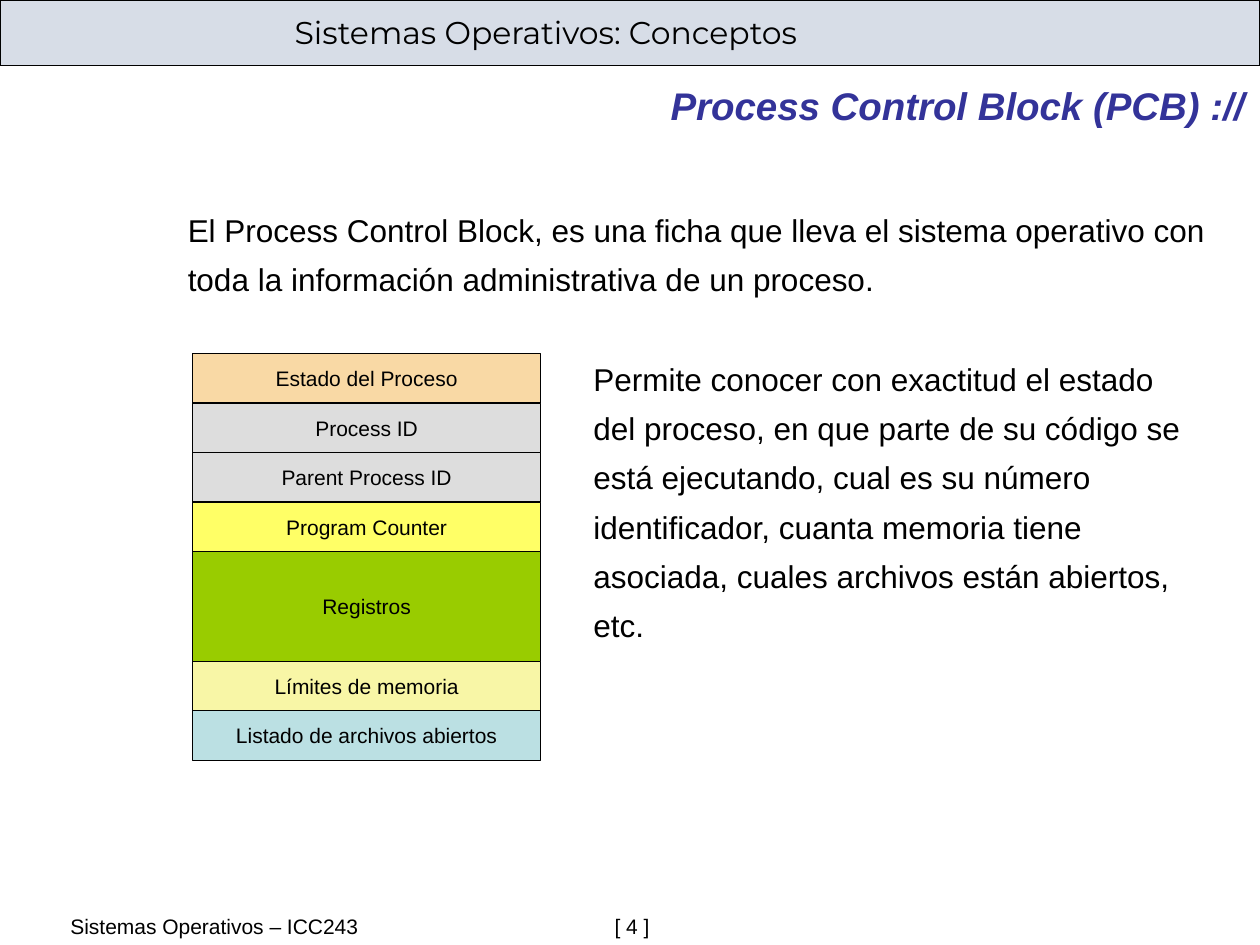
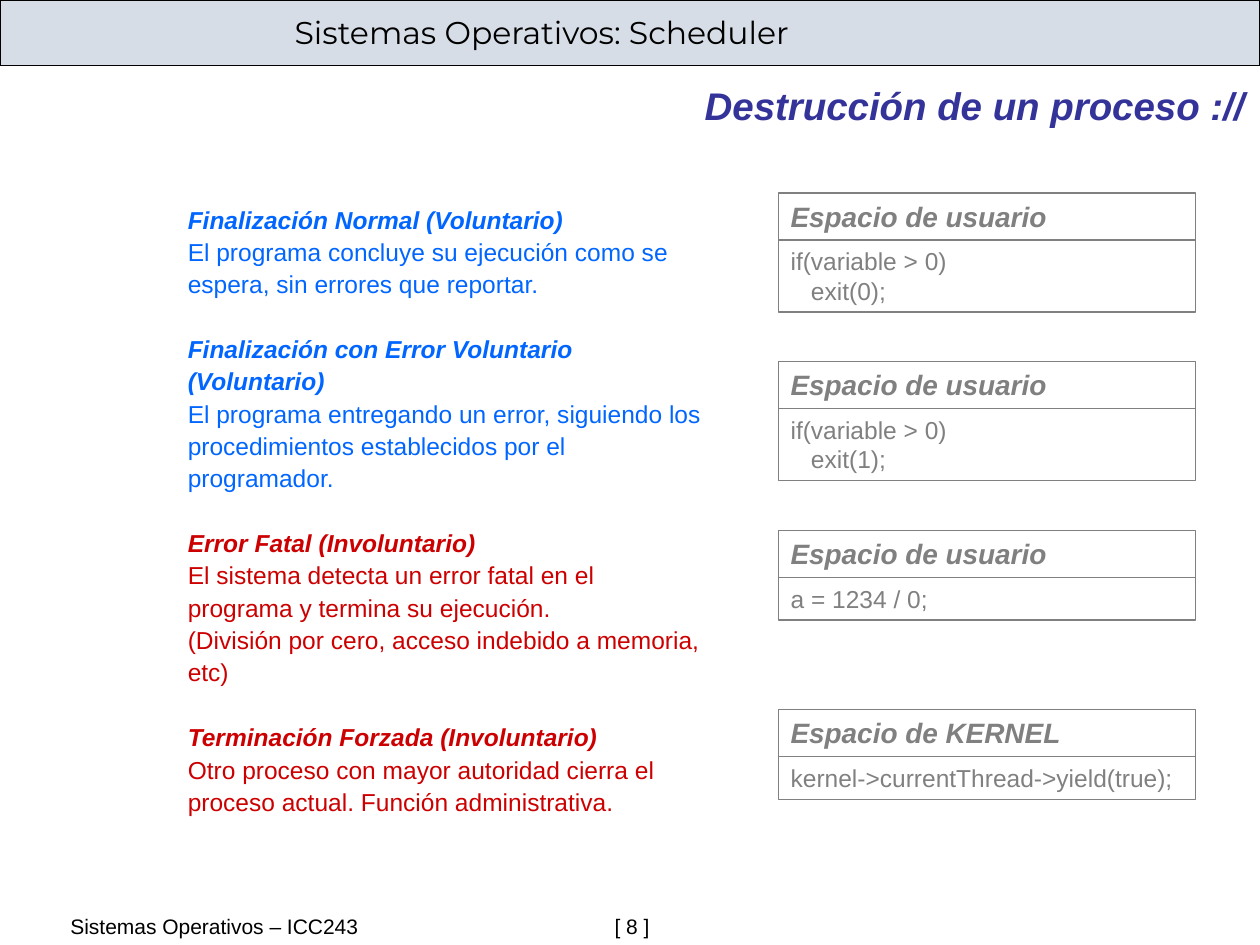
"""Build two operating-systems slides: the process control block and process termination."""
from lxml import etree
from pptx import Presentation
from pptx.dml.color import RGBColor
from pptx.enum.shapes import MSO_SHAPE
from pptx.enum.text import MSO_ANCHOR, MSO_AUTO_SIZE, PP_ALIGN
from pptx.oxml.ns import qn
from pptx.util import Pt

RECT = MSO_SHAPE.RECTANGLE
TOP, MIDDLE = MSO_ANCHOR.TOP, MSO_ANCHOR.MIDDLE
LEFT, CENTER, RIGHT = PP_ALIGN.LEFT, PP_ALIGN.CENTER, PP_ALIGN.RIGHT
NO_FIT = MSO_AUTO_SIZE.NONE

BLACK = RGBColor(0x00, 0x00, 0x00)
BAND = RGBColor(0xD7, 0xDD, 0xE7)
NAVY = RGBColor(0x33, 0x33, 0x99)
BLUE = RGBColor(0x00, 0x66, 0xFF)
RED = RGBColor(0xCC, 0x00, 0x00)
GRAY = RGBColor(0x80, 0x80, 0x80)
SILVER = RGBColor(0xDD, 0xDD, 0xDD)
PEACH = RGBColor(0xF9, 0xD9, 0xA5)
YELLOW = RGBColor(0xFF, 0xFF, 0x66)
GREEN = RGBColor(0x99, 0xCC, 0x00)
CREAM = RGBColor(0xF8, 0xF6, 0xA6)
AQUA = RGBColor(0xBB, 0xE0, 0xE3)

SLIDE_W, SLIDE_H = 720, 540
COURSE = "Sistemas Operativos – ICC243"

PCB_INTRO = ("El Process Control Block, es una ficha que lleva el sistema operativo "
             "con toda la información administrativa de un proceso.")
PCB_USE = ("Permite conocer con exactitud el estado del proceso, en que parte de su código "
           "se está ejecutando, cual es su número identificador, cuanta memoria tiene "
           "asociada, cuales archivos están abiertos, etc.")
ROW_H, REGISTERS_H = 28.3, 62.6
PCB_FIELDS = [
    ("Estado del Proceso", PEACH, ROW_H),
    ("Process ID", SILVER, ROW_H),
    ("Parent Process ID", SILVER, ROW_H),
    ("Program Counter", YELLOW, ROW_H),
    ("Registros", GREEN, REGISTERS_H),
    ("Límites de memoria", CREAM, ROW_H),
    ("Listado de archivos abiertos", AQUA, ROW_H),
]

ENDINGS = [
    ("Finalización Normal (Voluntario)", BLUE,
     ["El programa concluye su ejecución como se espera, sin errores que reportar."]),
    ("Finalización con Error Voluntario (Voluntario)", BLUE,
     ["El programa entregando un error, siguiendo los procedimientos establecidos "
      "por el programador."]),
    ("Error Fatal (Involuntario)", RED,
     ["El sistema detecta un error fatal en el programa y termina su ejecución.",
      "(División por cero, acceso indebido a memoria, etc)"]),
    ("Terminación Forzada (Involuntario)", RED,
     ["Otro proceso con mayor autoridad cierra el proceso actual. Función administrativa."]),
]
EXAMPLES = [
    (110.2, "Espacio de usuario", ["if(variable > 0)", "   exit(0);"]),
    (206.6, "Espacio de usuario", ["if(variable > 0)", "   exit(1);"]),
    (303.1, "Espacio de usuario", ["a = 1234 / 0;"]),
    (405.4, "Espacio de KERNEL", ["kernel->currentThread->yield(true);"]),
]


def place(sp, x, y, w, h):
    sp.left, sp.top, sp.width, sp.height = Pt(x), Pt(y), Pt(w), Pt(h)


def style(p, size, color=BLACK, font="Arial", strong=False, align=LEFT):
    p.alignment = align
    for r in p.runs:
        r.font.name, r.font.size = font, Pt(size)
        r.font.bold = r.font.italic = strong
        r.font.color.rgb = color


def write(sp, lines, size, anchor=TOP, **look):
    tf = sp.text_frame
    tf.text = "\n".join(lines)
    tf.word_wrap, tf.auto_size, tf.vertical_anchor = True, NO_FIT, anchor
    for p in tf.paragraphs:
        style(p, size, **look)
    return tf


def plain_list(tf, spacing):
    for p in tf.paragraphs:
        pPr = p._p.get_or_add_pPr()
        pPr.set("marL", "0")
        pPr.set("indent", "0")
        etree.SubElement(pPr, qn("a:buNone"))
        p.line_spacing, p.space_before = spacing, Pt(0)


def add_box(s, x, y, w, h, line=BLACK, fill=None):
    sp = s.shapes.add_shape(RECT, Pt(x), Pt(y), Pt(w), Pt(h))
    sp.shadow.inherit = False
    sp.line.color.rgb, sp.line.width = line, Pt(0.75)
    if fill is None:
        sp.fill.background()
    else:
        sp.fill.solid()
        sp.fill.fore_color.rgb = fill
    return sp


def add_text(s, x, y, w, h, text, size, **look):
    sp = s.shapes.add_textbox(Pt(x), Pt(y), Pt(w), Pt(h))
    return write(sp, [text], size, **look)


def add_slide(prs, layout, topic, title, number):
    s = prs.slides.add_slide(prs.slide_layouts[layout])
    add_box(s, 0, 0, SLIDE_W, 37.5, fill=BAND)
    add_text(s, 161.3, 3.6, 556, 29, topic, 18, font="Montserrat")
    place(s.shapes.title, 139, 43.2, 579.6, 34)
    write(s.shapes.title, [title], 22, color=NAVY, strong=True, align=RIGHT)
    tf = add_text(s, 33.1, 518.4, 660, 21.6, f"{COURSE}\t[ {number} ]", 12)
    tabs = etree.SubElement(tf.paragraphs[0]._p.get_or_add_pPr(), qn("a:tabLst"))
    etree.SubElement(tabs, qn("a:tab"), pos=str(Pt(311)), algn="l")
    return s


def pcb_slide(prs):
    s = add_slide(prs, 3, "Sistemas Operativos: Conceptos", "Process Control Block (PCB) ://", 4)
    boxes = [(PCB_INTRO, (100.1, 110.4, 620, 64)), (PCB_USE, (331.9, 195.8, 360, 209))]
    for sp, (text, area) in zip(list(s.placeholders)[1:], boxes):
        place(sp, *area)
        plain_list(write(sp, [text], 18), 1.3)
    y = 202.1
    for name, fill, h in PCB_FIELDS:
        sp = add_box(s, 110.2, y, 198.7, h, fill=fill)
        write(sp, [name], 12, anchor=MIDDLE, align=CENTER)
        y += h


def endings_slide(prs):
    s = add_slide(prs, 1, "Sistemas Operativos: Scheduler", "Destrucción de un proceso ://", 8)
    body = s.placeholders[1]
    place(body, 100.1, 111.6, 310.3, 375)
    lines = [(text, color, i == 0)
             for heading, color, details in ENDINGS
             for i, text in enumerate([heading] + details)]
    tf = write(body, [text for text, _, _ in lines], 14)
    plain_list(tf, 1.1)
    for i, (p, (_, color, heading)) in enumerate(zip(tf.paragraphs, lines)):
        style(p, 14, color, strong=heading)
        if heading and i:
            p.space_before = Pt(18.5)
    for y, space, code in EXAMPLES:
        write(add_box(s, 444.7, y, 238.5, 26.8, GRAY), [space], 16, color=GRAY, strong=True)
        code_h = 7.5 + 16.8 * len(code)
        write(add_box(s, 444.7, y + 27, 238.5, code_h, GRAY), code, 14, color=GRAY)


def main():
    prs = Presentation()
    prs.slide_width, prs.slide_height = Pt(SLIDE_W), Pt(SLIDE_H)
    pcb_slide(prs)
    endings_slide(prs)
    prs.save("out.pptx")


if __name__ == "__main__":
    main()
